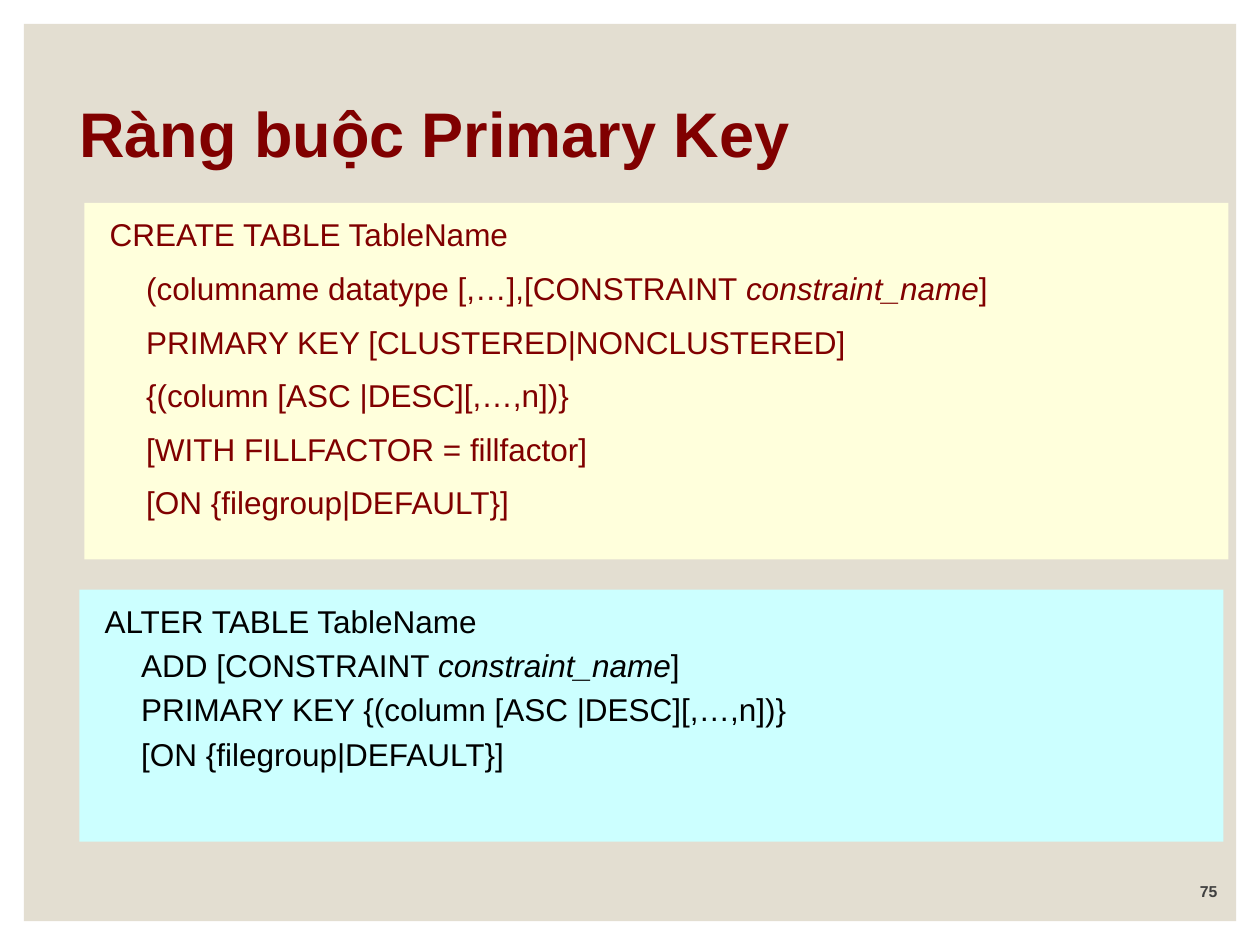
from pptx import Presentation
from pptx.dml.color import RGBColor
from pptx.enum.shapes import MSO_SHAPE
from pptx.enum.text import MSO_ANCHOR, PP_ALIGN
from pptx.util import Inches, Pt

RECT = MSO_SHAPE.RECTANGLE
TOP, BOTTOM = MSO_ANCHOR.TOP, MSO_ANCHOR.BOTTOM
LEFT, RIGHT = PP_ALIGN.LEFT, PP_ALIGN.RIGHT
TITLE_ONLY = 5
MAROON = "800000"


def add_panel(x, y, w, h, fill):
    sp = s.shapes.add_shape(RECT, Inches(x), Inches(y), Inches(w), Inches(h))
    sp.shadow.inherit = False
    sp.fill.solid()
    sp.fill.fore_color.rgb = RGBColor.from_string(fill)
    sp.line.fill.background()
    return sp


def set_font(p, size, color, bold=False):
    p.font.name = "Arial"
    p.font.size = Pt(size)
    p.font.bold = bold
    p.font.color.rgb = RGBColor.from_string(color)


prs = Presentation()
prs.slide_width, prs.slide_height = Inches(10), Inches(7.5)
s = prs.slides.add_slide(prs.slide_layouts[TITLE_ONLY])

# The frame goes behind the title placeholder
frame = add_panel(0.19, 0.19, 9.62, 7.12, "E3DED1")
s.shapes._spTree.insert(2, frame._element)

title = s.shapes.title
title.left, title.top = Inches(0.53), Inches(0.64)
title.width, title.height = Inches(9), Inches(0.76)
tf = title.text_frame
tf.text = "Ràng buộc Primary Key"
tf.vertical_anchor = BOTTOM
tf.paragraphs[0].alignment = LEFT
set_font(tf.paragraphs[0], 36, MAROON, bold=True)

# Syntax panels: box, fill, text colour, space before, lines.
# Asterisks enclose the italic part of a line.
panels = [
    ((0.67, 1.61, 9.08, 2.83), "FFFFDC", MAROON, 9, [
        "CREATE TABLE TableName",
        "(columname datatype [,…],[CONSTRAINT *constraint_name*]",
        "PRIMARY KEY [CLUSTERED|NONCLUSTERED]",
        "{(column [ASC |DESC][,…,n])}",
        "[WITH FILLFACTOR = fillfactor]",
        "[ON {filegroup|DEFAULT}]",
    ]),
    ((0.63, 4.68, 9.08, 2), "CCFFFF", "000000", 3.6, [
        "ALTER TABLE TableName",
        "ADD [CONSTRAINT *constraint_name*]",
        "PRIMARY KEY {(column [ASC |DESC][,…,n])}",
        "[ON {filegroup|DEFAULT}]",
    ]),
]
for box, fill, color, space, lines in panels:
    tf = add_panel(*box, fill).text_frame
    tf.word_wrap = True
    tf.vertical_anchor = TOP
    tf.margin_left, tf.margin_top = Inches(0.2), Inches(0.1)
    for i, line in enumerate(lines):
        p = tf.add_paragraph() if i else tf.paragraphs[0]
        p.alignment = LEFT
        p.space_before = Pt(space)
        set_font(p, 18, color)
        pPr = p._p.get_or_add_pPr()
        pPr.set("marL", str(Inches(0.29)))
        pPr.set("indent", str(0 if i else Inches(-0.29)))
        for j, part in enumerate(line.split("*")):
            if part:
                r = p.add_run()
                r.text = part
                if j % 2:
                    r.font.italic = True

number = s.shapes.add_textbox(Inches(8.56), Inches(6.9), Inches(1.2), Inches(0.3))
tf = number.text_frame
tf.word_wrap = True
tf.vertical_anchor = BOTTOM
tf.text = "75"
tf.paragraphs[0].alignment = RIGHT
set_font(tf.paragraphs[0], 9, "404040", bold=True)

prs.save("out.pptx")
